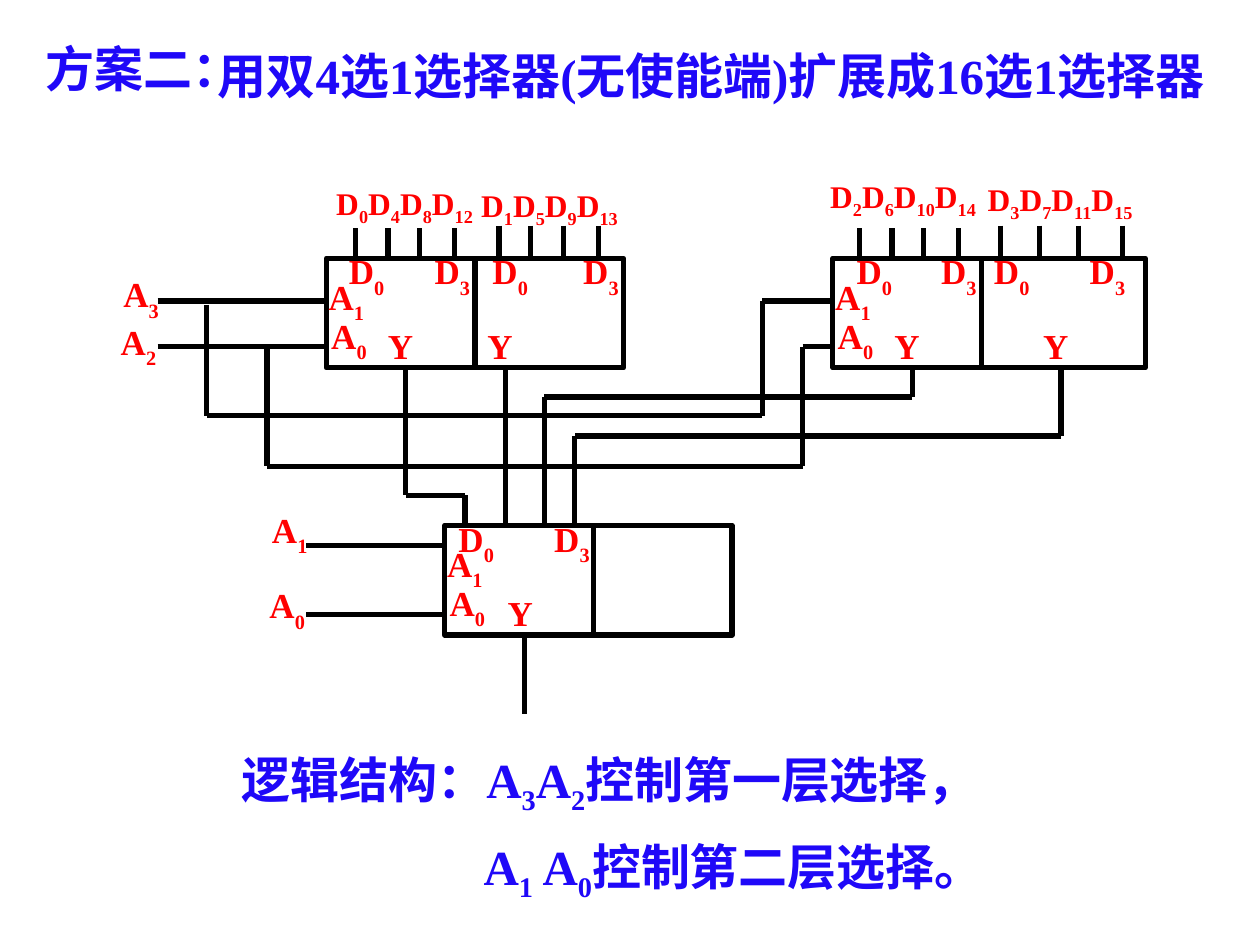
"""Build a slide showing dual 4-to-1 multiplexers expanded to 16-to-1."""
from itertools import groupby, pairwise

from pptx import Presentation
from pptx.dml.color import RGBColor
from pptx.enum.shapes import MSO_CONNECTOR, MSO_SHAPE
from pptx.enum.text import MSO_ANCHOR as ANCHOR, MSO_AUTO_SIZE as AUTO, PP_ALIGN
from pptx.oxml.ns import qn
from pptx.util import Pt
from lxml.etree import SubElement

PX = 9144
FONT = "Times New Roman"
COLORS = {"heading": "1F08F8", "signal": "FF0000", "wire": "000000"}

TITLE = ("方案二：", (26, 26, 183, 56))
SUBTITLE = ("用双4选1选择器(无使能端)扩展成16选1选择器", (163, 31, 812, 57))
SUMMARY = (["逻辑结构：A3A2控制第一层选择，", "A1 A0控制第二层选择。"], (182, 590, 646, 113))
SUMMARY_INDENT = 192

BLOCK_HEIGHT, DIVIDER = 87, 118
SELECT_PINS = [("A0", -6, 42), ("A1", -8, 11)]
DATA_Y, OUT_Y = -9, 47
BLOCKS = [
    {"left": 259, "top": 205, "width": 236,
     "data": [("D0", 8), ("D3", 76), ("D0", 122), ("D3", 194)], "out": [39, 118]},
    {"left": 661, "top": 205, "width": 248,
     "data": [("D0", 9), ("D3", 76), ("D0", 118), ("D3", 194)], "out": [39, 157]},
    {"left": 353, "top": 417, "width": 228,
     "data": [("D0", 1), ("D3", 77)], "out": [40]},
]

ADDRESSES = [("A3", 88, 214), ("A2", 86, 252), ("A1", 206, 401), ("A0", 204, 461)]
INPUTS = [
    ("D0D4D8D12", 257, 141, 181, [282, 308, 333, 361]),
    ("D1D5D9D13", 372, 143, 179, [396, 421, 447, 475]),
    ("D2D6D10D14", 649, 136, 181, [682, 708, 733, 761]),
    ("D3D7D11D15", 774, 138, 179, [794, 825, 856, 891]),
]
TICK = 24
WIRES = [
    [(125, 239), (259, 239)],
    [(125, 275), (259, 275)],
    [(164, 242), (164, 330), (605, 330), (605, 239), (661, 239)],
    [(212, 275), (212, 370), (637, 370), (637, 275), (661, 275)],
    [(322, 291), (322, 393), (369, 393), (369, 417)],
    [(401, 291), (401, 417)],
    [(724, 291), (724, 315), (432, 315), (432, 417)],
    [(842, 291), (842, 346), (456, 346), (456, 417)],
    [(243, 433), (353, 433)],
    [(243, 488), (353, 488)],
    [(416, 504), (416, 567)],
]


def color(name):
    return RGBColor.from_string(COLORS[name])


def style(paragraph, size, name):
    font = paragraph.font
    font.name, font.size, font.bold = FONT, Pt(size), True
    font.color.rgb = color(name)


def add_indexed(paragraph, text, baseline):
    for is_index, chars in groupby(text, str.isdigit):
        run = paragraph.add_run()
        run.text = "".join(chars)
        if is_index:
            run._r.get_or_add_rPr().set("baseline", str(baseline * 1000))


def add_text(slide, box, anchor=ANCHOR.TOP):
    frame = slide.shapes.add_textbox(*(v * PX for v in box)).text_frame
    frame.word_wrap = True
    frame.auto_size = AUTO.SHAPE_TO_FIT_TEXT
    frame.vertical_anchor = anchor
    return frame


def add_pin(slide, text, left, top, width=58):
    paragraph = add_text(slide, (left, top, width, 44), ANCHOR.MIDDLE).paragraphs[0]
    add_indexed(paragraph, text, -30)
    style(paragraph, 20, "signal")


def add_wire(slide, points):
    for start, end in pairwise(points):
        wire = slide.shapes.add_connector(
            MSO_CONNECTOR.STRAIGHT, *(v * PX for v in start + end))
        wire.line.color.rgb = color("wire")
        wire.line.width = Pt(3)
        SubElement(wire._element.spPr, qn("a:effectLst"))


def add_block(slide, block):
    left, top = block["left"], block["top"]
    body = slide.shapes.add_shape(
        MSO_SHAPE.RECTANGLE, left * PX, top * PX, block["width"] * PX, BLOCK_HEIGHT * PX)
    body.shadow.inherit = False
    body.fill.background()
    body.line.color.rgb = color("wire")
    body.line.width = Pt(3)
    middle = left + DIVIDER
    add_wire(slide, [(middle, top), (middle, top + BLOCK_HEIGHT)])
    for text, dx, dy in SELECT_PINS:
        add_pin(slide, text, left + dx, top + dy)
    for text, dx in block["data"]:
        add_pin(slide, text, left + dx, top + DATA_Y)
    for dx in block["out"]:
        add_pin(slide, "Y", left + dx, top + OUT_Y, 48)


def add_headings(slide):
    text, box = TITLE
    title = slide.shapes.title
    title.left, title.top, title.width, title.height = (v * PX for v in box)
    frame = title.text_frame
    frame.text = text
    frame.auto_size = AUTO.NONE
    frame.vertical_anchor = ANCHOR.MIDDLE
    frame.paragraphs[0].alignment = PP_ALIGN.LEFT
    style(frame.paragraphs[0], 28, "heading")

    text, box = SUBTITLE
    subtitle = add_text(slide, box).paragraphs[0]
    subtitle.text = text
    style(subtitle, 28, "heading")


def add_summary(slide):
    (first_layer, second_layer), box = SUMMARY
    frame = add_text(slide, box)
    first, second = frame.paragraphs[0], frame.add_paragraph()
    for paragraph, text in ((first, first_layer), (second, second_layer)):
        add_indexed(paragraph, text, -25)
        style(paragraph, 28, "heading")
    second.line_spacing = 0.7
    second.space_before = Pt(18)
    second._p.get_or_add_pPr().set("marL", str(SUMMARY_INDENT * PX))


def main():
    prs = Presentation()
    prs.slide_width, prs.slide_height = 1000 * PX, 750 * PX
    slide = prs.slides.add_slide(prs.slide_layouts[5])
    add_headings(slide)
    for block in BLOCKS:
        add_block(slide, block)
    for points in WIRES:
        add_wire(slide, points)
    for address in ADDRESSES:
        add_pin(slide, *address)
    for text, left, top, tick_top, ticks in INPUTS:
        for x in ticks:
            add_wire(slide, [(x, tick_top), (x, tick_top + TICK)])
        paragraph = add_text(slide, (left, top, 149, 40)).paragraphs[0]
        add_indexed(paragraph, text, -25)
        style(paragraph, 18, "signal")
    add_summary(slide)
    prs.save("out.pptx")


if __name__ == "__main__":
    main()
